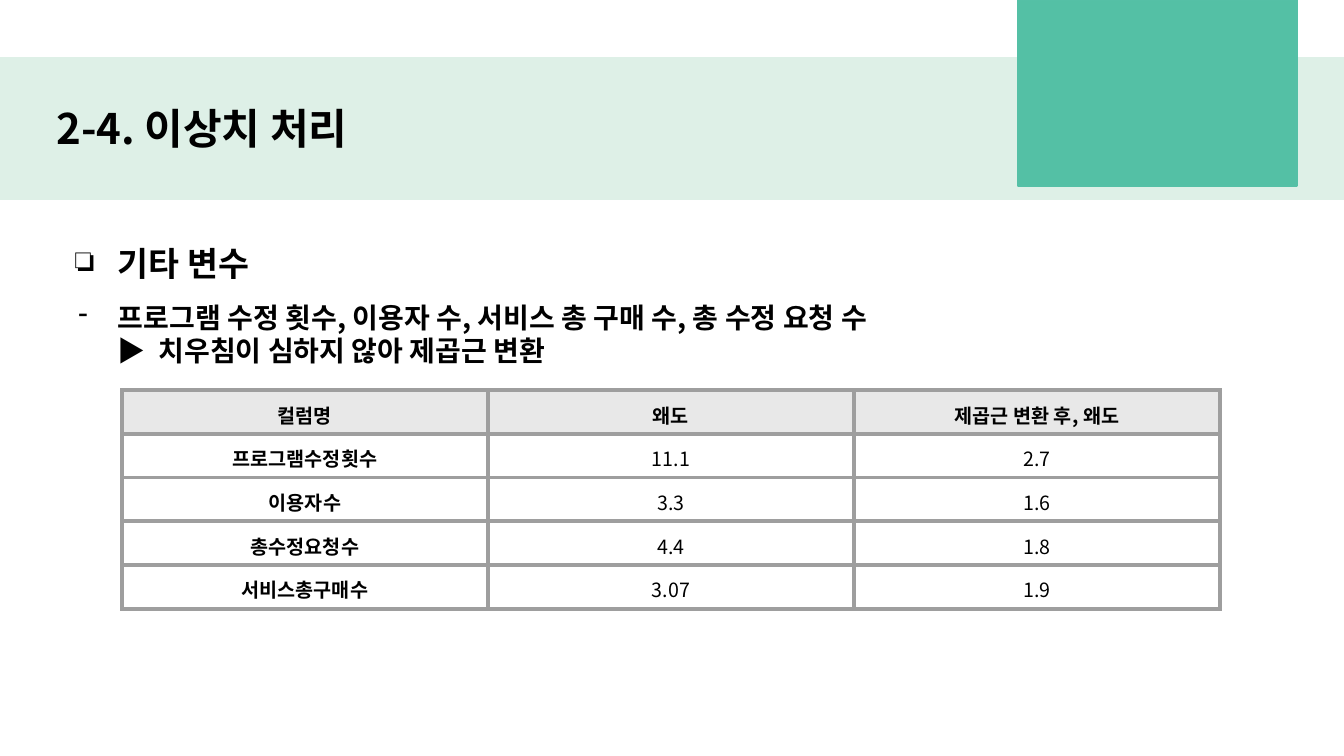
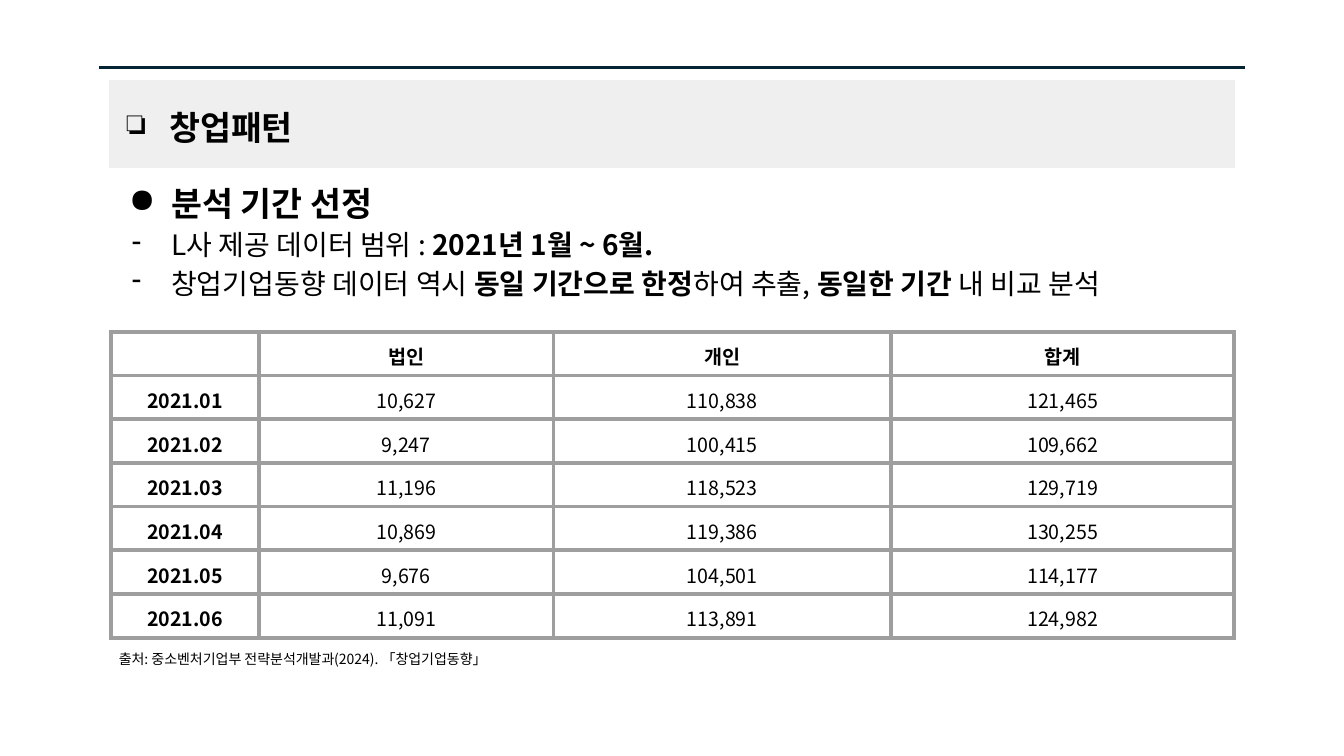
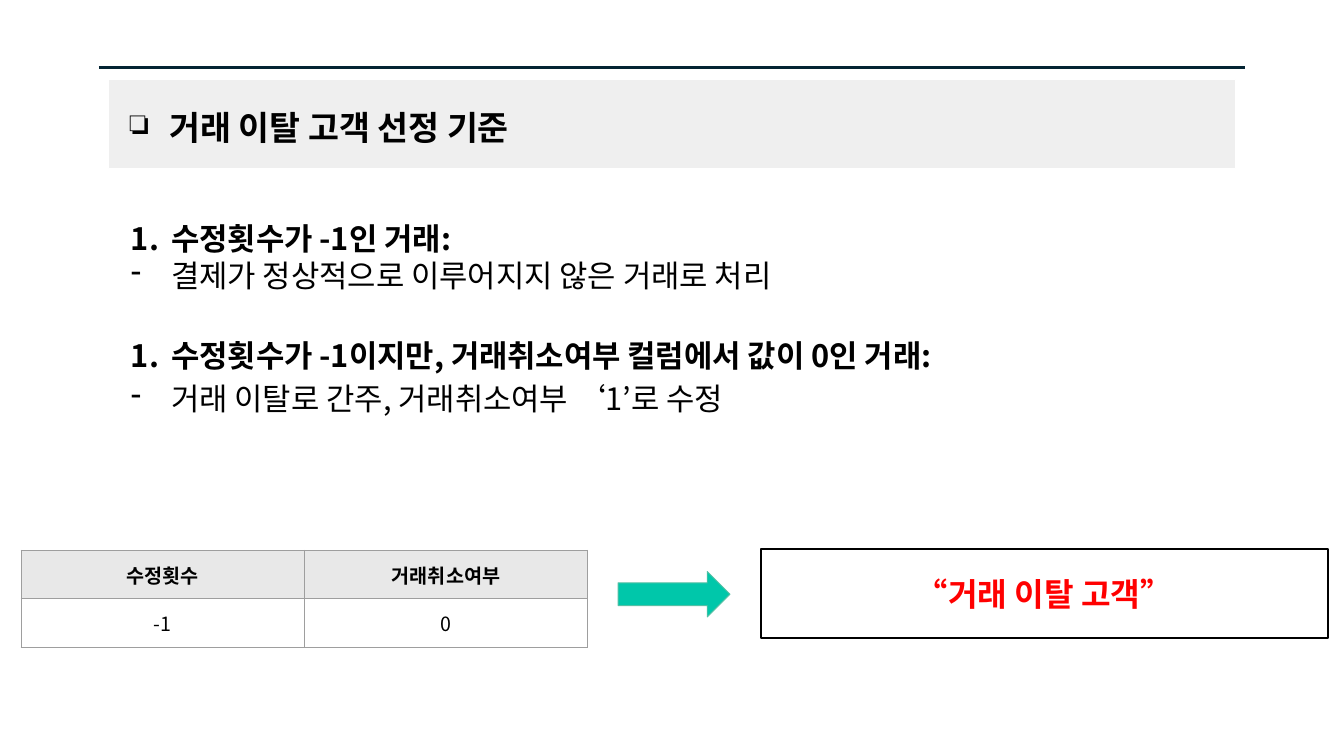
"""Build three slides on outlier handling, start-up patterns and churn criteria."""
from pptx import Presentation
from pptx.dml.color import RGBColor
from pptx.enum.shapes import MSO_CONNECTOR, MSO_SHAPE as Shape
from pptx.enum.text import MSO_ANCHOR as Anchor, PP_ALIGN as Align
from pptx.oxml.xmlchemy import OxmlElement
from pptx.util import Inches, Pt

FONT = "Noto Sans CJK KR"
BLACK, WHITE, RED = "000000", "FFFFFF", "FF0000"
MINT, GREEN, GREEN_EDGE, ARROW = "DEF0E7", "54C0A5", "55C0A6", "00C7AA"
NAVY, BAND, HEAD, GRID = "042433", "EFEFEF", "E8E8E8", "9E9E9E"
NUMBERED = "arabicPeriod"

OUTLIER_TITLE = "2-4. 이상치 처리"
OUTLIER_POINTS = [
    ("기타 변수", dict(size=24, bold=True, bullet="❏", hang=0.42, spacing=1.5)),
    ("프로그램 수정 횟수, 이용자 수, 서비스 총 구매 수, 총 수정 요청 수",
     dict(size=20, bold=True, bullet="-", hang=0.39, spacing=1.5)),
    ("▶  치우침이 심하지 않아 제곱근 변환", dict(size=20, bold=True, indent=0.5)),
]
SKEWNESS = [
    ("컬럼명", "왜도", "제곱근 변환 후, 왜도"),
    ("프로그램수정횟수", "11.1", "2.7"),
    ("이용자수", "3.3", "1.6"),
    ("총수정요청수", "4.4", "1.8"),
    ("서비스총구매수", "3.07", "1.9"),
]

PERIOD_POINTS = [
    ("분석 기간 선정", dict(size=24, bold=True, bullet="●", hang=0.42, spacing=1.15)),
    ([("L사 제공 데이터 범위 : ", False), ("2021년 1월 ~ 6월.", True)],
     dict(size=20, bullet="-", hang=0.39, spacing=1.15)),
    ([("창업기업동향 데이터 역시 ", False), ("동일 기간으로 한정", True),
      ("하여 추출, ", False), ("동일한 기간", True), (" 내 비교 분석", False)],
     dict(size=20, bullet="-", hang=0.39, spacing=1.15)),
]
STARTUPS = [
    ("", "법인", "개인", "합계"),
    ("2021.01", "10,627", "110,838", "121,465"),
    ("2021.02", "9,247", "100,415", "109,662"),
    ("2021.03", "11,196", "118,523", "129,719"),
    ("2021.04", "10,869", "119,386", "130,255"),
    ("2021.05", "9,676", "104,501", "114,177"),
    ("2021.06", "11,091", "113,891", "124,982"),
]
SOURCE_LINE = "출처: 중소벤처기업부 전략분석개발과(2024). 「창업기업동향」"

CHURN_POINTS = [
    ("수정횟수가 -1인 거래:", dict(size=22, bold=True, bullet=NUMBERED, hang=0.4)),
    ("결제가 정상적으로 이루어지지 않은 거래로 처리",
     dict(size=22, bullet="-", hang=0.4)),
    ("수정횟수가 -1이지만, 거래취소여부 컬럼에서 값이 0인 거래:",
     dict(size=22, bold=True, bullet=NUMBERED, hang=0.4, spacing=1.15, before=27)),
    ("거래 이탈로 간주, 거래취소여부 ‘1’로 수정",
     dict(size=22, bullet="-", hang=0.4, spacing=1.15)),
]
CHURN_RULE = [("수정횟수", "거래취소여부"), ("-1", "0")]
CHURN_RESULT = "“거래 이탈 고객”"


def rgb(code):
    return RGBColor.from_string(code)


def add_child(parent, tag, **attributes):
    child = OxmlElement(tag)
    for name, value in attributes.items():
        child.set(name, value)
    parent.append(child)
    return child


def write(para, text, size=14, bold=False, color=BLACK, align=None, bullet=None,
          hang=0, indent=0, spacing=None, before=None):
    if align is not None:
        para.alignment = align
    if spacing:
        para.line_spacing = spacing
    if before:
        para.space_before = Pt(before)
    props = para._p.get_or_add_pPr()
    if bullet:
        indent = 0.5
        add_child(add_child(props, "a:buClr"), "a:srgbClr", val=color)
        if bullet == NUMBERED:
            add_child(props, "a:buAutoNum", type=bullet)
        else:
            add_child(props, "a:buChar", char=bullet)
    if indent:
        props.set("marL", str(Inches(indent)))
        props.set("indent", str(-Inches(hang)))
    if not text:
        add_child(para._p, "a:endParaRPr", sz=str(size * 100))
        return
    for words, heavy in [(text, bold)] if isinstance(text, str) else text:
        span = para.add_run()
        span.text = words
        span.font.name = FONT
        span.font.size = Pt(size)
        span.font.bold = heavy
        span.font.color.rgb = rgb(color)
        add_child(span._r.get_or_add_rPr(), "a:ea", typeface=FONT)


def set_margins(holder):
    holder.margin_left = holder.margin_right = Inches(0.1)
    holder.margin_top = holder.margin_bottom = Inches(0.1)


def add_text(page, place, points):
    box = page.shapes.add_textbox(*map(Inches, place))
    frame = box.text_frame
    frame.word_wrap = True
    set_margins(frame)
    for index, (text, style) in enumerate(points):
        para = frame.add_paragraph() if index else frame.paragraphs[0]
        write(para, text, **style)


def add_block(page, place, fill, line, width, kind=Shape.RECTANGLE):
    block = page.shapes.add_shape(kind, *map(Inches, place))
    block.shadow.inherit = False
    if fill:
        block.fill.solid()
        block.fill.fore_color.rgb = rgb(fill)
    else:
        block.fill.background()
    block.line.color.rgb = rgb(line)
    block.line.width = Pt(width)
    return block


def add_borders(cell, width):
    props = cell._tc.get_or_add_tcPr()
    for index, side in enumerate(("a:lnL", "a:lnR", "a:lnT", "a:lnB")):
        edge = OxmlElement(side)
        edge.set("w", str(Pt(width)))
        add_child(add_child(edge, "a:solidFill"), "a:srgbClr", val=GRID)
        props.insert(index, edge)


def add_grid(page, left, top, widths, row_height, rows, border, head=None, stub=True):
    frame = page.shapes.add_table(
        len(rows), len(widths), Inches(left), Inches(top),
        Inches(sum(widths)), Inches(row_height * len(rows)))
    table = frame.table
    table.first_row = table.horz_banding = False
    for column, width in zip(table.columns, widths):
        column.width = Inches(width)
    for r, values in enumerate(rows):
        table.rows[r].height = Inches(row_height)
        for c, value in enumerate(values):
            cell = table.cell(r, c)
            set_margins(cell)
            if head and r == 0:
                cell.fill.solid()
                cell.fill.fore_color.rgb = rgb(head)
            else:
                cell.fill.background()
            add_borders(cell, border)
            write(cell.text_frame.paragraphs[0], value, align=Align.CENTER,
                  bold=r == 0 or (stub and c == 0))


def add_page(deck):
    return deck.slides.add_slide(deck.slide_layouts[6])


def add_section_page(deck, heading, hang):
    page = add_page(deck)
    rule = page.shapes.add_connector(
        MSO_CONNECTOR.STRAIGHT, *map(Inches, (0.98, 0.67, 12.35, 0.67)))
    rule.line.color.rgb = rgb(NAVY)
    rule.line.width = Pt(1.5)
    add_child(rule._element.spPr, "a:effectLst")
    add_block(page, (1.08, 0.79, 11.17, 0.88), BAND, WHITE, 0.75)
    style = dict(size=24, bold=True, bullet="❏", hang=hang)
    add_text(page, (1.08, 0.96, 7.54, 0.54), [(heading, style)])
    return page


def build_outliers(deck):
    page = add_page(deck)
    add_block(page, (0, 0.58, 13.33, 1.39), MINT, MINT, 1.5)
    add_block(page, (10.1, 0, 2.76, 1.85), GREEN, GREEN_EDGE, 1.5)
    add_text(page, (0.46, 0.92, 9.52, 0.71),
             [(OUTLIER_TITLE, dict(size=30, bold=True))])
    add_text(page, (0.57, 2.11, 12.4, 1.65), OUTLIER_POINTS)
    add_grid(page, 1.21, 3.87, [3.63] * 3, 0.43, SKEWNESS, 3, head=HEAD)


def build_startups(deck):
    page = add_section_page(deck, "창업패턴", 0.42)
    add_text(page, (1.1, 1.65, 11.13, 1.59), PERIOD_POINTS)
    add_grid(page, 1.1, 3.29, [1.47, 2.92, 3.35, 3.4], 0.43, STARTUPS, 3)
    add_text(page, (1.08, 6.37, 4.39, 0.37), [(SOURCE_LINE, dict(size=10))])


def build_churn(deck):
    page = add_section_page(deck, "거래 이탈 고객 선정 기준", 0.39)
    add_text(page, (1.1, 2.08, 11.13, 3.5), CHURN_POINTS)
    add_grid(page, 0.21, 5.46, [2.81] * 2, 0.48, CHURN_RULE, 0.75, head=HEAD, stub=False)
    result = add_block(page, (7.55, 5.45, 5.62, 0.88), None, BLACK, 1.5)
    frame = result.text_frame
    set_margins(frame)
    frame.vertical_anchor = Anchor.MIDDLE
    write(frame.paragraphs[0], CHURN_RESULT, size=23, bold=True, color=RED,
          align=Align.CENTER)
    add_block(page, (6.13, 5.67, 1.11, 0.45), ARROW, GREEN, 0.68, Shape.RIGHT_ARROW)


def main():
    deck = Presentation()
    deck.slide_width, deck.slide_height = Inches(13.33), Inches(7.5)
    build_outliers(deck)
    build_startups(deck)
    build_churn(deck)
    deck.save("out.pptx")


if __name__ == "__main__":
    main()
